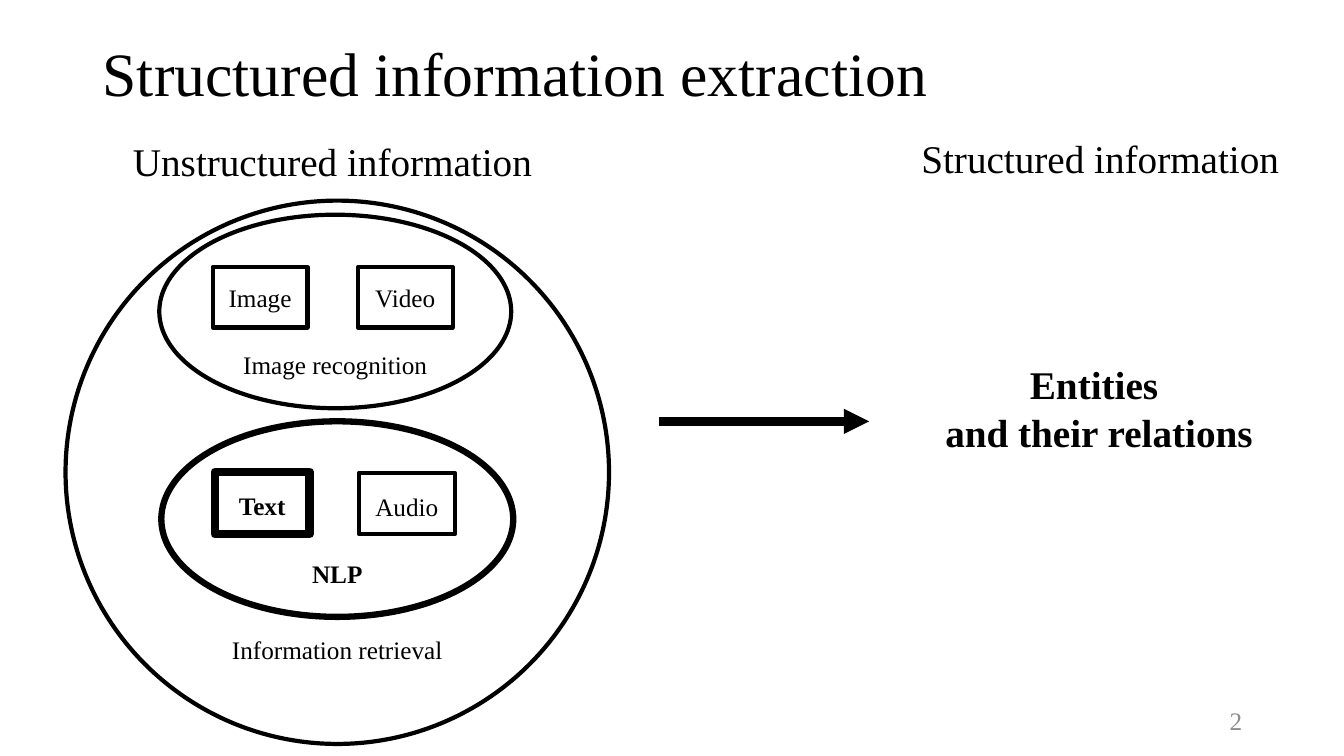
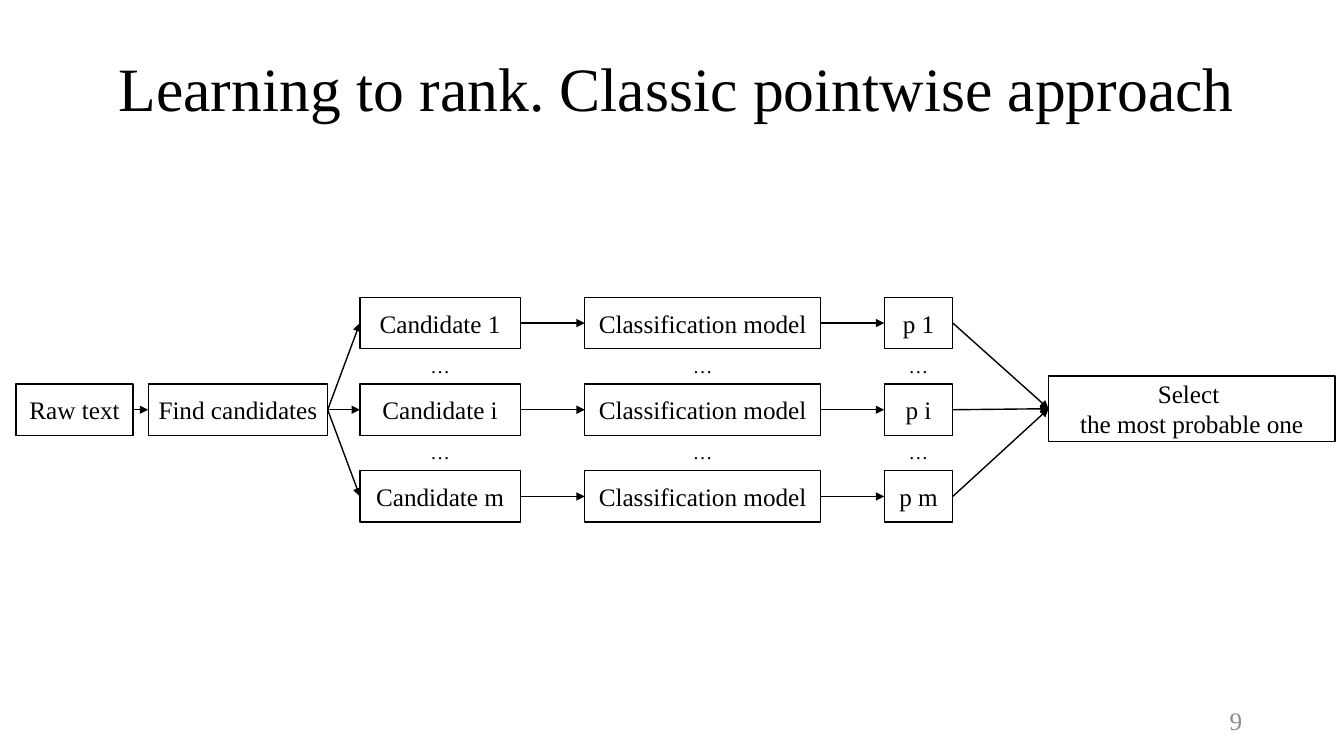
import pptx
import pptx.dml.color
import pptx.enum.shapes
import pptx.enum.text
import pptx.oxml.ns
import pptx.util
from lxml import etree

Inches, Pt = pptx.util.Inches, pptx.util.Pt
RGBColor = pptx.dml.color.RGBColor
MSO_SHAPE = pptx.enum.shapes.MSO_SHAPE
ANCHOR = pptx.enum.text.MSO_ANCHOR
ALIGN = pptx.enum.text.PP_ALIGN
qn = pptx.oxml.ns.qn

BLACK = RGBColor(0x00, 0x00, 0x00)
GREY = RGBColor(0x8C, 0x8C, 0x8C)
FONT = "Times New Roman"
TITLE_PT, HEADING_PT, BODY_PT, DOTS_PT = 44, 28, 18, 14
TOP, LEFT, BOTTOM, RIGHT = range(4)

# Slide 1: label, (left, top, width, height), line width, bold
ELLIPSES = [
    ("Information retrieval", (0.65, 1.99, 5.39, 5.39), 3, False),
    ("Image recognition", (1.58, 2.13, 3.49, 1.92), 3, False),
    ("NLP", (1.6, 4.18, 3.49, 1.94), 4.5, True),
]
# label, area, line width, bold, bottom inset
SOURCES = [
    ("Image", (2.11, 2.65, 0.94, 0.6), 3, False, 0.05),
    ("Video", (3.55, 2.65, 0.94, 0.6), 3, False, 0.05),
    ("Text", (2.13, 4.68, 0.94, 0.62), 6, True, 0),
    ("Audio", (3.56, 4.69, 0.95, 0.61), 3, False, 0),
]
HEADINGS = [
    ("Unstructured information", (1.22, 1.37, 4.26, 0.52)),
    ("Structured information", (9.04, 1.34, 3.76, 0.52)),
]

# Slide 2: a grid of candidate rows between two steps and a selection
ROWS = ["1", "i", "m"]
COLUMNS = [  # label, left, width
    ("Candidate {}", 3.57, 1.59),
    ("Classification model", 5.8, 2.34),
    ("p {}", 8.77, 0.68),
]
STEPS = [("Raw text", 0.16, 1.16), ("Find candidates", 1.47, 1.78)]
ROW_TOP, ROW_PITCH, BOX_H, DOTS_H = 2.95, 0.86, 0.51, 0.34


def write(sp, text, size, color=BLACK, bold=False, align=ALIGN.CENTER,
          anchor=ANCHOR.MIDDLE, spacing=None, side=0.1, bottom=0.05):
    tf = sp.text_frame
    tf.word_wrap = True
    tf.vertical_anchor = anchor
    tf.margin_left = tf.margin_right = Inches(side)
    tf.margin_bottom = Inches(bottom)
    for i, line in enumerate(text.split("\n")):
        p = tf.add_paragraph() if i else tf.paragraphs[0]
        p.text = line
        p.alignment = align
        if spacing:
            p.line_spacing = spacing
        p.font.name, p.font.size, p.font.bold = FONT, Pt(size), bold
        p.font.color.rgb = color


def add_text(slide, text, area, size, **style):
    sp = slide.shapes.add_textbox(*map(Inches, area))
    write(sp, text, size, **style)


def add_outline(slide, kind, text, area, width, **style):
    """Add an unfilled preset shape with a black outline and a label."""
    sp = slide.shapes.add_shape(kind, *map(Inches, area))
    sp.shadow.inherit = False
    sp.fill.background()
    sp.line.color.rgb = BLACK
    sp.line.width = Pt(width)
    write(sp, text, BODY_PT, **style)
    return sp


def add_box(slide, text, area, width=1, **style):
    return add_outline(slide, MSO_SHAPE.RECTANGLE, text, area, width, side=0.05, **style)


def add_arrow(slide, start, end, width):
    c = slide.shapes.add_connector(
        pptx.enum.shapes.MSO_CONNECTOR.STRAIGHT, *map(Inches, start + end))
    c.line.color.rgb = BLACK
    c.line.width = Pt(width)
    etree.SubElement(c.line._get_or_add_ln(), qn("a:tailEnd"), type="triangle")
    etree.SubElement(c._element.spPr, qn("a:effectLst"))
    return c


def join(slide, source, target):
    """Draw an arrow from the right side of one box to the left of another."""
    c = add_arrow(slide, (0, 0), (1, 1), 1)
    c.begin_connect(source, RIGHT)
    c.end_connect(target, LEFT)


def add_slide(prs, title, title_area, number):
    slide = prs.slides.add_slide(prs.slide_layouts[6])
    add_text(slide, title, title_area, TITLE_PT, align=ALIGN.LEFT,
             anchor=ANCHOR.TOP, spacing=0.9)
    add_text(slide, number, (9.42, 6.95, 3, 0.4), BODY_PT, color=GREY, align=ALIGN.RIGHT)
    return slide


def build_extraction(prs):
    slide = add_slide(prs, "Structured information extraction",
                      (0.92, 0.38, 8.89, 0.84), "2")
    for text, area, width, bold in ELLIPSES:
        add_outline(slide, MSO_SHAPE.OVAL, text, area, width, bold=bold,
                    anchor=ANCHOR.BOTTOM, bottom=0)
    for text, area, width, bold, bottom in SOURCES:
        add_box(slide, text, area, width, bold=bold, bottom=bottom)
    for text, area in HEADINGS:
        add_text(slide, text, area, HEADING_PT, align=ALIGN.LEFT,
                 anchor=ANCHOR.TOP, spacing=0.9)
    add_arrow(slide, (6.54, 4.18), (8.62, 4.18), 6)
    add_text(slide, "Entities \nand their relations", (9.02, 3.53, 3.76, 1.04),
             HEADING_PT, bold=True, anchor=ANCHOR.TOP)


def build_ranking(prs):
    slide = add_slide(prs, "Learning to rank. Classic pointwise approach",
                      (1.08, 0.53, 11.57, 0.8), "9")
    middle = ROW_TOP + ROW_PITCH
    raw, find = [add_box(slide, text, (x, middle, w, BOX_H)) for text, x, w in STEPS]
    select = add_box(slide, "Select \nthe most probable one", (10.4, 3.73, 2.84, 0.65))
    join(slide, raw, find)
    for i, name in enumerate(ROWS):
        y = ROW_TOP + i * ROW_PITCH
        boxes = [add_box(slide, text.format(name), (x, y, w, BOX_H))
                 for text, x, w in COLUMNS]
        chain = [find, *boxes, select]
        for source, target in zip(chain, chain[1:]):
            join(slide, source, target)
        if i < len(ROWS) - 1:
            for _, x, w in COLUMNS:
                add_text(slide, "…", (x, y + BOX_H, w, DOTS_H), DOTS_PT,
                         anchor=ANCHOR.TOP)


def main():
    prs = pptx.Presentation()
    prs.slide_width, prs.slide_height = Inches(13.33), Inches(7.5)
    build_extraction(prs)
    build_ranking(prs)
    prs.save("out.pptx")


if __name__ == "__main__":
    main()
